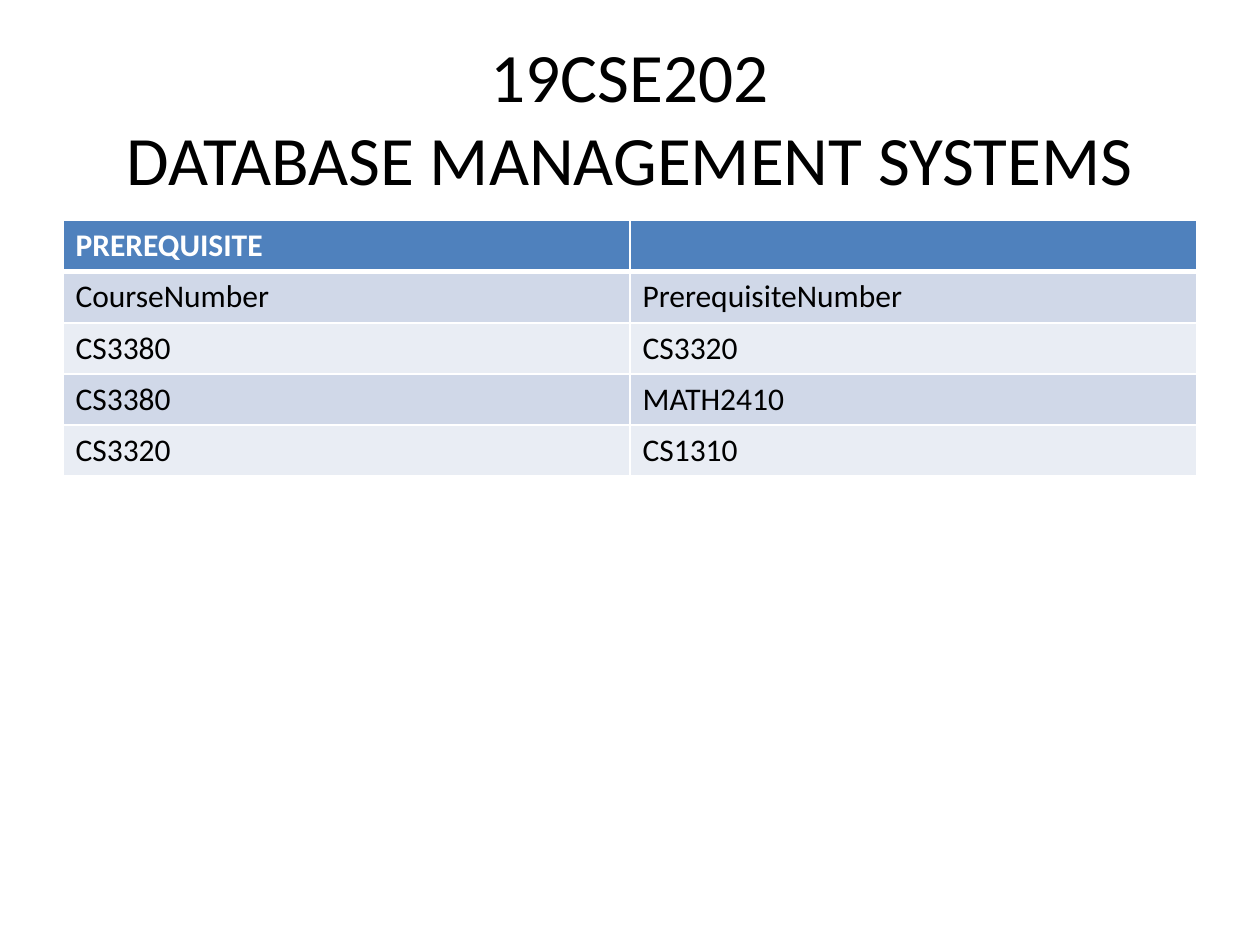
from dataclasses import dataclass
from lxml import etree
from pptx import Presentation
from pptx.dml.color import RGBColor
from pptx.enum.text import MSO_ANCHOR, PP_ALIGN
from pptx.oxml.ns import qn
from pptx.util import Inches, Pt


@dataclass(frozen=True)
class Theme:
    font: str = "Calibri"
    title_size: float = 39.6
    cell_size: float = 18
    text: str = "000000"
    light: str = "FFFFFF"
    header: str = "4F81BD"
    bands: tuple = ("D0D8E8", "E9EDF4")


THEME = Theme()
TITLE = "19CSE202\vDATABASE MANAGEMENT SYSTEMS"
PREREQUISITES = [
    ("PREREQUISITE", ""),
    ("CourseNumber", "PrerequisiteNumber"),
    ("CS3380", "CS3320"),
    ("CS3380", "MATH2410"),
    ("CS3320", "CS1310"),
]


def style_font(font, size, color, bold=False):
    font.name = THEME.font
    font.size = Pt(size)
    font.bold = bold
    font.color.rgb = RGBColor.from_string(color)


def set_borders(cell, widths):
    properties = cell._tc.get_or_add_tcPr()
    for index, (side, width) in enumerate(widths.items()):
        line = etree.Element(qn(f"a:ln{side}"), w=str(Pt(width)))
        fill = etree.SubElement(line, qn("a:solidFill"))
        etree.SubElement(fill, qn("a:srgbClr"), val=THEME.light)
        properties.insert(index, line)


def add_title(slide, text, left, top, width, height):
    box = slide.shapes.add_textbox(
        Inches(left), Inches(top), Inches(width), Inches(height))
    frame = box.text_frame
    frame.word_wrap = True
    frame.vertical_anchor = MSO_ANCHOR.MIDDLE
    paragraph = frame.paragraphs[0]
    paragraph.text = text
    paragraph.alignment = PP_ALIGN.CENTER
    for run in paragraph.runs:
        style_font(run.font, THEME.title_size, THEME.text)


def add_prerequisite_table(slide, rows, left, top, width, height):
    table = slide.shapes.add_table(
        len(rows), len(rows[0]),
        Inches(left), Inches(top), Inches(width), Inches(height)).table
    for r, values in enumerate(rows):
        is_header = r == 0
        fill = THEME.header if is_header else THEME.bands[(r - 1) % 2]
        color = THEME.light if is_header else THEME.text
        widths = {"L": 1, "R": 1, "T": 3 if r == 1 else 1,
                  "B": 3 if is_header else 1}
        for c, value in enumerate(values):
            cell = table.cell(r, c)
            cell.fill.solid()
            cell.fill.fore_color.rgb = RGBColor.from_string(fill)
            set_borders(cell, widths)
            paragraph = cell.text_frame.paragraphs[0]
            style_font(paragraph.font, THEME.cell_size, color, is_header)
            if value:
                run = paragraph.add_run()
                run.text = value
                style_font(run.font, THEME.cell_size, color, is_header)


def build_course_slide(presentation):
    slide = presentation.slides.add_slide(presentation.slide_layouts[6])
    add_title(slide, TITLE, 0.5, 0.3, 9, 1.25)
    add_prerequisite_table(slide, PREREQUISITES, 0.5, 1.75, 9, 2.03)


presentation = Presentation()
presentation.slide_width = Inches(10)
presentation.slide_height = Inches(7.5)
build_course_slide(presentation)
presentation.save("out.pptx")
